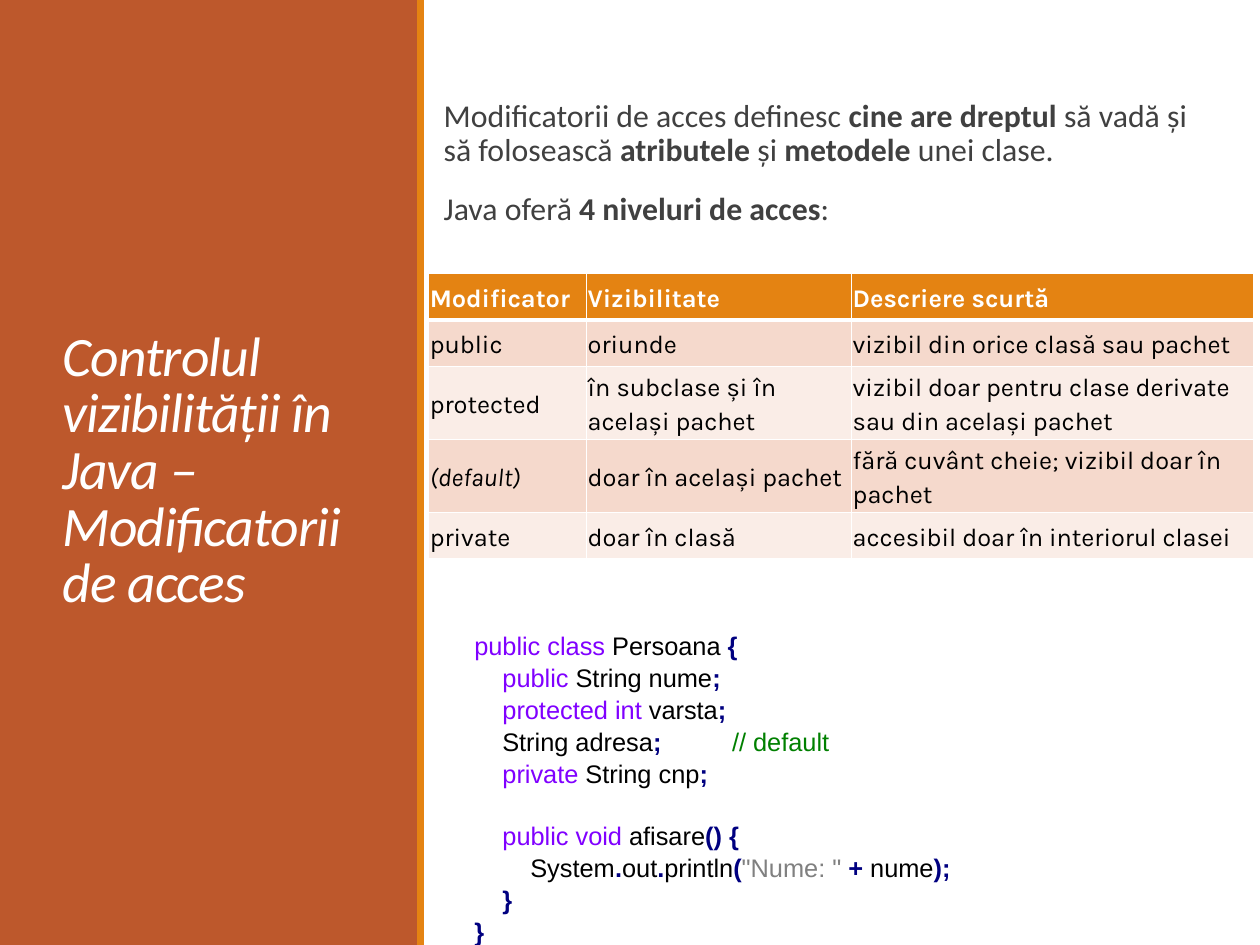
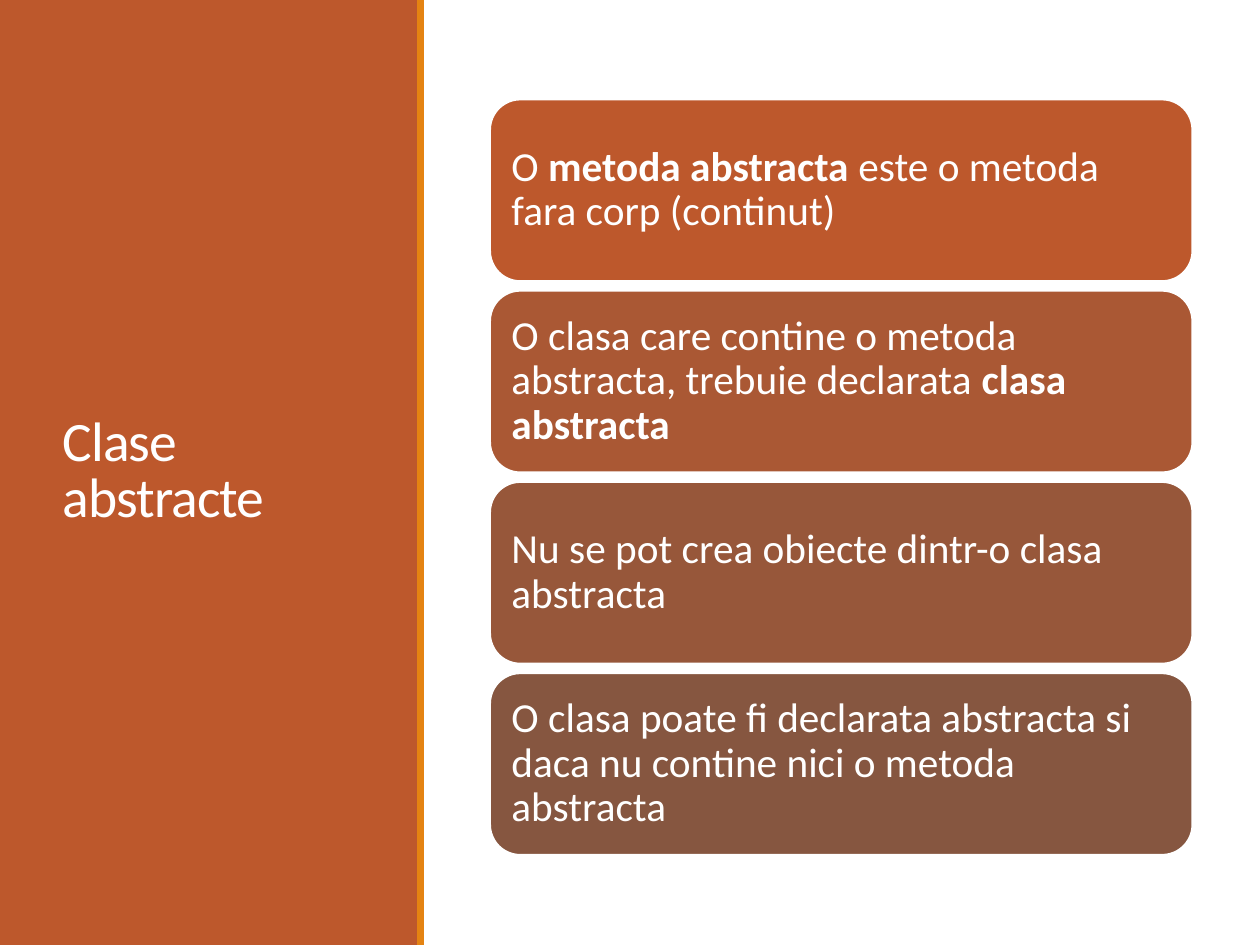
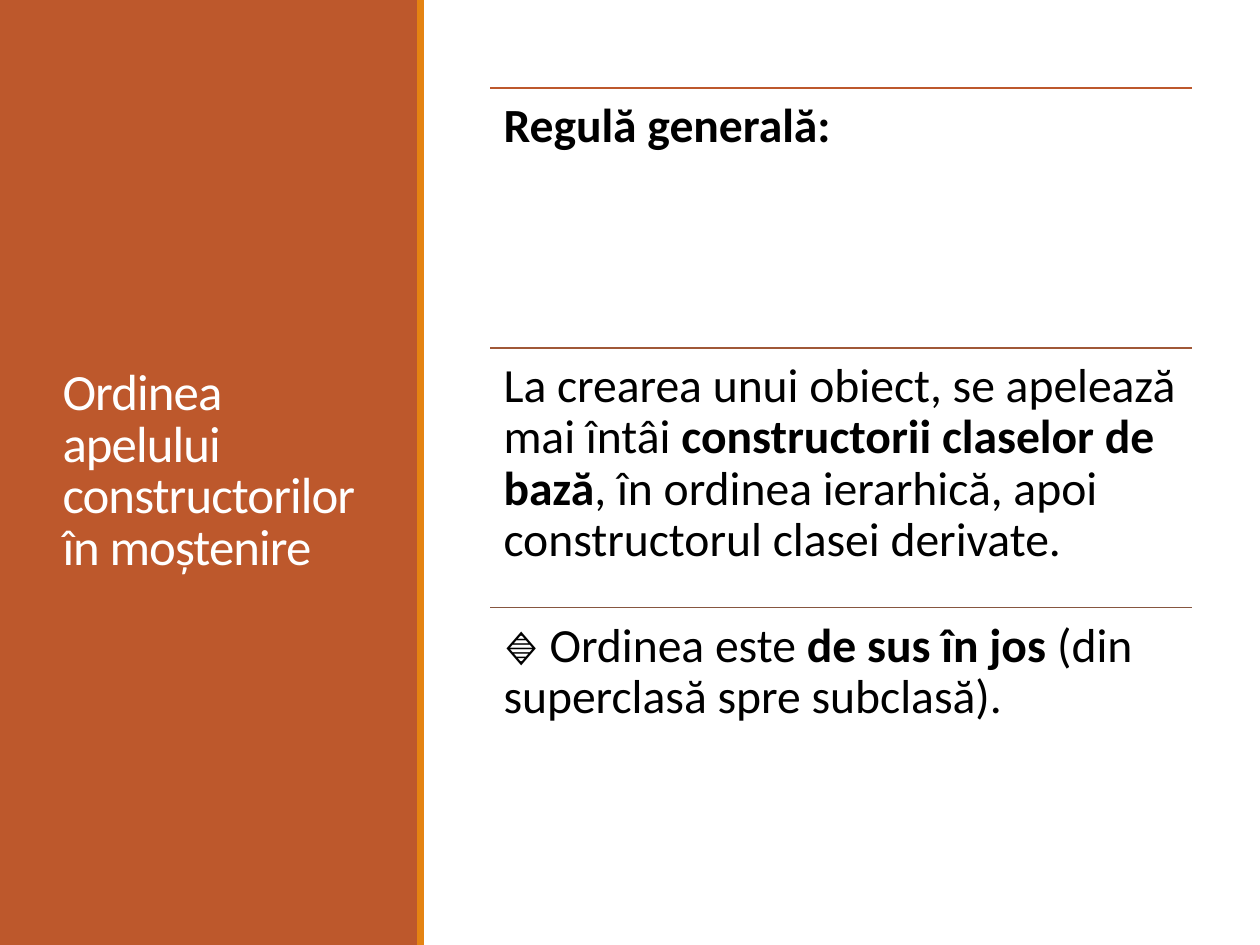
from lxml.etree import SubElement as Sub
from pptx import Presentation
from pptx.dml.color import RGBColor as Rgb
from pptx.enum.shapes import MSO_CONNECTOR as Conn, MSO_SHAPE as Kind
from pptx.enum.text import MSO_ANCHOR as Anchor, PP_ALIGN as Align
from pptx.oxml.ns import qn
from pptx.util import Cm, Pt

HUES = {
    "rust": "BD582C", "gold": "E48312", "white": "FFFFFF", "black": "000000",
    "gray": "404040", "odd": "F5D9CC", "even": "FAEDE7",
    "key": "8000FF", "sign": "000080", "note": "008000", "quote": "808080",
    "card2": "AA5834", "card3": "97573A", "brown": "865640", "rule2": "A05837",
}
WIDE, HIGH = 28, 21
LEFT, SPAN = 10.89, 15.61  # column of cards and rules
KEYS = {"public", "class", "protected", "int", "private", "void"}

INTRO = [
    "Modificatorii de acces definesc **cine are dreptul** să vadă și "
    "să folosească **atributele** și **metodele** unei clase.",
    "Java oferă **4 niveluri de acces**:",
]
COLS = [3.51, 5.89, 8.94]
ROWS = [1.04, 1.04, 1.58, 1.58, 1.04]
LEVELS = [
    ("Modificator", "Vizibilitate", "Descriere scurtă"),
    ("public", "oriunde", "vizibil din orice clasă sau pachet"),
    ("protected", "în subclase și în același pachet",
     "vizibil doar pentru clase derivate sau din același pachet"),
    ("(default)", "doar în același pachet",
     "fără cuvânt cheie; vizibil doar în pachet"),
    ("private", "doar în clasă", "accesibil doar în interiorul clasei"),
]
# Bars part the tokens of the listing
CODE = """public| |class| Persoana |{
    |public| String nume|;
    |protected| |int| varsta|;
    String adresa|;|\t|// default
    |private| String cnp|;

    |public| |void| afisare|()| |{
        System|.|out|.|println|(|"Nume: "| |+| nume|);
    |}
}"""
CARDS = [
    ("rust", "O **metoda abstracta** este o metoda fara corp (continut)"),
    ("card2", "O clasa care contine o metoda abstracta, trebuie declarata "
              "**clasa abstracta**"),
    ("card3", "Nu se pot crea obiecte dintr-o clasa abstracta"),
    ("brown", "O clasa poate fi declarata abstracta si daca nu contine "
              "nici o metoda abstracta"),
]
RULES = [
    ("rust", "**Regulă generală:**"),
    ("rule2", "La crearea unui obiect, se apelează mai întâi "
              "**constructorii claselor de bază**, în ordinea ierarhică, "
              "apoi constructorul clasei derivate."),
    ("brown", "🔹 Ordinea este **de sus în jos** (din superclasă spre "
              "subclasă)."),
]


def tint(name):
    return Rgb.from_string(HUES[name])


def style(font, size, hue, face="Calibri", bold=False, slant=False):
    font.name, font.size = face, Pt(size)
    font.bold, font.italic = bold, slant
    font.color.rgb = tint(hue)


def write(par, text, size, hue):
    """Fill a paragraph; double stars switch bold on and off."""
    par.alignment, par.line_spacing = Align.LEFT, 0.9
    for i, part in enumerate(text.split("**")):
        if part:
            run = par.add_run()
            run.text = part
            style(run.font, size, hue, bold=i % 2 == 1)


def setup(frame, pad, anchor):
    frame.word_wrap, frame.vertical_anchor = True, anchor
    frame.margin_left = frame.margin_right = Cm(pad)
    frame.margin_top = frame.margin_bottom = Cm(pad)
    return frame


def add_box(slide, x, y, w, h, pad=0.25, anchor=Anchor.TOP):
    box = slide.shapes.add_textbox(Cm(x), Cm(y), Cm(w), Cm(h))
    return setup(box.text_frame, pad, anchor)


def add_block(slide, kind, x, y, w, h, hue, edge=None):
    block = slide.shapes.add_shape(kind, Cm(x), Cm(y), Cm(w), Cm(h))
    block.shadow.inherit = False
    block.fill.solid()
    block.fill.fore_color.rgb = tint(hue)
    if edge:
        block.line.color.rgb, block.line.width = tint(edge), Pt(1.25)
    else:
        block.line.fill.background()
    return block


def add_page(deck, title, size=35, slant=False):
    """Slide with the side band, its stripe and the title."""
    slide = deck.slides.add_slide(deck.slide_layouts[6])
    add_block(slide, Kind.RECTANGLE, 0, 0, 9.3, HIGH, "rust")
    add_block(slide, Kind.RECTANGLE, 9.27, 0, 0.15, HIGH, "gold")
    par = add_box(slide, 1.14, 1.6, 7.09, 17.8,
                  anchor=Anchor.MIDDLE).paragraphs[0]
    par.text, par.line_spacing = title, 0.85
    run = par.runs[0]
    style(run.font, size, "white", slant=slant)
    run.font._element.set("spc", "-60")
    return slide


def add_rule(slide, y, hue):
    rule = slide.shapes.add_connector(
        Conn.STRAIGHT, Cm(LEFT), Cm(y), Cm(LEFT + SPAN), Cm(y))
    rule.line.color.rgb, rule.line.width = tint(hue), Pt(1.25)
    Sub(rule._element.spPr, qn("a:effectLst"))


def add_edges(cell, row):
    """White cell borders, thick below the header."""
    thick = {"T": row == 1, "B": row == 0}
    props = cell._tc.get_or_add_tcPr()
    for side in "LRTB":
        line = Sub(props, qn("a:ln" + side),
                   w=str(Pt(3 if thick.get(side) else 1)))
        Sub(Sub(line, qn("a:solidFill")), qn("a:srgbClr"), val=HUES["white"])


def add_grid(slide, x, y):
    grid = slide.shapes.add_table(len(ROWS), len(COLS), Cm(x), Cm(y),
                                  Cm(sum(COLS)), Cm(sum(ROWS))).table
    for col, w in zip(grid.columns, COLS):
        col.width = Cm(w)
    for r, (h, texts) in enumerate(zip(ROWS, LEVELS)):
        grid.rows[r].height = Cm(h)
        head = r == 0
        for c, text in enumerate(texts):
            cell = grid.cell(r, c)
            add_edges(cell, r)
            cell.fill.solid()
            cell.fill.fore_color.rgb = tint(
                "gold" if head else "odd" if r % 2 else "even")
            cell.vertical_anchor = Anchor.MIDDLE
            cell.margin_left = cell.margin_right = Cm(0.03)
            cell.margin_top = cell.margin_bottom = Cm(0.03)
            par = cell.text_frame.paragraphs[0]
            par.text, par.line_spacing = text, 1.15
            par.space_after = Pt(8)
            style(par.runs[0].font, 16, "white" if head else "black", "Karla",
                  bold=head, slant=text == "(default)")


def token_hue(token):
    if token in KEYS:
        return "key"
    if token.startswith("//"):
        return "note"
    if token.startswith('"'):
        return "quote"
    return "sign" if set(token) <= set("{}();.+") else "black"


def add_code(slide, x, y, w, h):
    frame = add_box(slide, x, y, w, h)
    frame.text = "\n".join("" for _ in CODE.replace("\n\n", "\n").split("\n"))
    pars = iter(frame.paragraphs)
    gap = False
    for line in CODE.split("\n"):
        if not line:
            gap = True
            continue
        par = next(pars)
        par.line_spacing = 1.05
        if gap:
            par.space_before, gap = Pt(19.3), False
        if "\t" in line:
            tabs = Sub(par._p.get_or_add_pPr(), qn("a:tabLst"))
            Sub(tabs, qn("a:tab"), pos=str(Cm(5.73)), algn="l")
        for token in line.split("|"):
            run = par.add_run()
            run.text = token
            hue = token_hue(token)
            style(run.font, 16, hue, "Arial", bold=hue == "sign")


def access(deck):
    slide = add_page(deck, "Controlul vizibilității în Java – "
                     "Modificatorii de acces", slant=True)
    frame = add_box(slide, 9.86, 1.85, 16.81, 3.58, 0, Anchor.MIDDLE)
    for i, text in enumerate(INTRO):
        par = frame.add_paragraph() if i else frame.paragraphs[0]
        write(par, text, 20, "gray")
        par.space_after = Pt(2.2)
        if i:
            par.space_before = Pt(13.2)
    add_grid(slide, 9.52, 6.07)
    add_code(slide, 10.29, 13.72, 14, 7.09)


def abstract(deck):
    slide = add_page(deck, "Clase abstracte")
    for i, (hue, text) in enumerate(CARDS):
        card = add_block(slide, Kind.ROUNDED_RECTANGLE, LEFT, 2.21 + 4.25 * i,
                         SPAN, 4.04, hue, "white")
        frame = setup(card.text_frame, 0.28, Anchor.MIDDLE)
        write(frame.paragraphs[0], text, 26, "white")


def order(deck):
    slide = add_page(deck, "Ordinea apelului constructorilor în moștenire", 32)
    step = 5.77
    for i, (hue, text) in enumerate(RULES):
        y = 1.96 + step * i
        add_rule(slide, y, hue)
        frame = add_box(slide, LEFT, y, SPAN, step, 0.3)
        write(frame.paragraphs[0], text, 30, "black")


def main():
    deck = Presentation()
    deck.slide_width, deck.slide_height = Cm(WIDE), Cm(HIGH)
    access(deck)
    abstract(deck)
    order(deck)
    deck.save("out.pptx")


if __name__ == "__main__":
    main()
